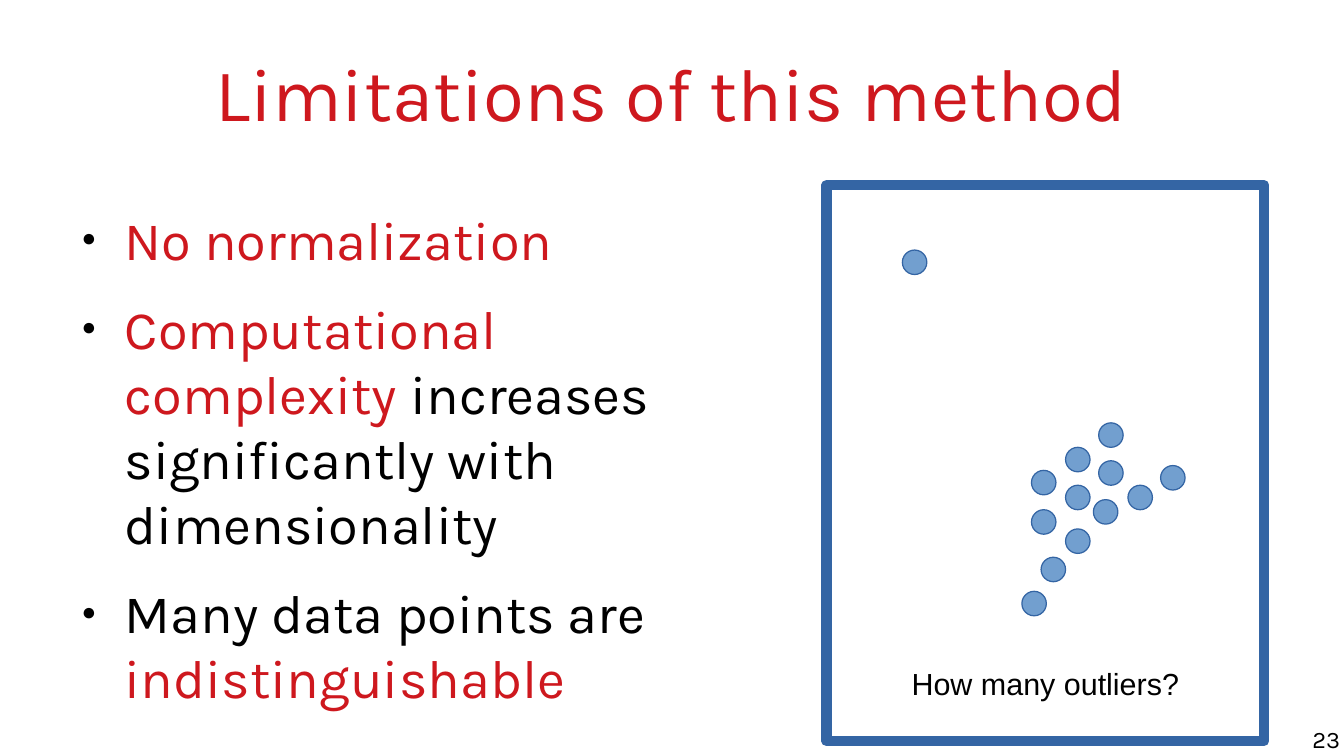
import pptx
import pptx.dml.color
import pptx.enum.shapes
import pptx.enum.text
import pptx.oxml
import pptx.oxml.ns
import pptx.util

Cm, Pt = pptx.util.Cm, pptx.util.Pt
ALIGN = pptx.enum.text.PP_ALIGN
ANCHOR = pptx.enum.text.MSO_ANCHOR
SHAPE = pptx.enum.shapes.MSO_SHAPE

COLORS = {"red": "CE181E", "black": "000000", "dot": "729FCF", "frame": "3465A4"}

BULLETS = [
    [("No normalization", "red")],
    [("Computational complexity", "red"),
     (" increases significantly with dimensionality", "black")],
    [("Many data points are ", "black"), ("indistinguishable", "red")],
]

OUTLIER = (18.8, 5.21)
CLUSTER = [
    (21.29, 12.32), (24.18, 9.7), (23.5, 10.11), (22.89, 9.6), (22.78, 10.41), (22.2, 10.11),
    (22.2, 11.02), (21.69, 11.61), (21.49, 10.62), (21.49, 9.8), (22.2, 9.32), (22.89, 8.81),
]
DOT_SIZE = 0.51


def rgb(name):
    return pptx.dml.color.RGBColor.from_string(COLORS[name])


def apply(target, values):
    for name, value in values.items():
        setattr(target, name, value)


class SlideBuilder:
    """Holds the style and the current slide, and adds each kind of element."""

    font_name = "Karla"
    no_margins = dict.fromkeys(("margin_left", "margin_top", "margin_right", "margin_bottom"), 0)

    def __init__(self, presentation):
        self.slide = presentation.slides.add_slide(presentation.slide_layouts[1])

    def place(self, shape, box):
        apply(shape, dict(zip(("left", "top", "width", "height"), map(Cm, box))))

    def frame_text(self, shape, **values):
        apply(shape.text_frame, {**self.no_margins, "word_wrap": True,
                                 "auto_size": pptx.enum.text.MSO_AUTO_SIZE.NONE, **values})

    def add_run(self, paragraph, text, size, color="black", font_name=None):
        run = paragraph.add_run()
        run.text = text
        apply(run.font, {"name": font_name or self.font_name, "size": Pt(size)})
        run.font.color.rgb = rgb(color)

    def add_title(self, text, box):
        shape = self.slide.shapes.title
        self.place(shape, box)
        self.frame_text(shape, vertical_anchor=ANCHOR.MIDDLE)
        paragraph = shape.text_frame.paragraphs[0]
        paragraph.alignment = ALIGN.CENTER
        self.add_run(paragraph, text, 44, "red")

    def add_bullets(self, items, box):
        shape = self.slide.placeholders[1]
        self.place(shape, box)
        self.frame_text(shape, vertical_anchor=ANCHOR.TOP)
        for index, parts in enumerate(items):
            paragraph = shape.text_frame.add_paragraph() if index else shape.text_frame.paragraphs[0]
            self.format_bullet(paragraph)
            paragraph.space_before = Pt(14.2 if index else 0)
            for text, color in parts:
                self.add_run(paragraph, text, 32, color)

    def format_bullet(self, paragraph):
        properties = paragraph._p.get_or_add_pPr()
        properties.set("marL", str(Cm(1.2)))
        properties.set("indent", str(Cm(-0.9)))
        namespace = pptx.oxml.ns.nsdecls("a")
        for element in (
            f'<a:buClr {namespace}><a:srgbClr val="{COLORS["black"]}"/></a:buClr>',
            f'<a:buSzPct {namespace} val="45000"/>',
            f'<a:buFont {namespace} typeface="Arial"/>',
            f'<a:buChar {namespace} char="●"/>',
        ):
            properties.append(pptx.oxml.parse_xml(element))

    def add_outlined(self, kind, box, line_width, fill=None):
        shape = self.slide.shapes.add_shape(kind, *map(Cm, box))
        shape.shadow.inherit = False
        if fill:
            shape.fill.solid()
            shape.fill.fore_color.rgb = rgb(fill)
        else:
            shape.fill.background()
        shape.line.color.rgb = rgb("frame")
        shape.line.width = Pt(line_width)
        return shape

    def add_dot(self, left, top):
        self.add_outlined(SHAPE.OVAL, (left, top, DOT_SIZE, DOT_SIZE), 0, "dot")

    def add_captioned_frame(self, caption, box):
        shape = self.add_outlined(SHAPE.RECTANGLE, box, 6)
        self.frame_text(shape, vertical_anchor=ANCHOR.BOTTOM, margin_bottom=Cm(0.82))
        paragraph = shape.text_frame.paragraphs[0]
        paragraph.alignment = ALIGN.CENTER
        self.add_run(paragraph, caption, 18, font_name="Arial")

    def add_page_number(self, number, box):
        shape = self.slide.shapes.add_textbox(*map(Cm, box))
        self.frame_text(shape)
        paragraph = shape.text_frame.paragraphs[0]
        paragraph.alignment = ALIGN.RIGHT
        self.add_run(paragraph, number, 14)


def main():
    presentation = pptx.Presentation()
    apply(presentation, {"slide_width": Cm(28), "slide_height": Cm(15.75)})
    builder = SlideBuilder(presentation)
    builder.add_title("Limitations of this method", (1.4, 0.03, 25.2, 3.78))
    builder.add_bullets(BULLETS, (1.4, 4.29, 13.18, 10.97))
    for left, top in [OUTLIER, *CLUSTER]:
        builder.add_dot(left, top)
    builder.add_captioned_frame("How many outliers?", (17.22, 3.86, 9.12, 11.58))
    builder.add_page_number("23", (21.39, 15.11, 6.53, 0.64))
    presentation.save("out.pptx")


if __name__ == "__main__":
    main()
